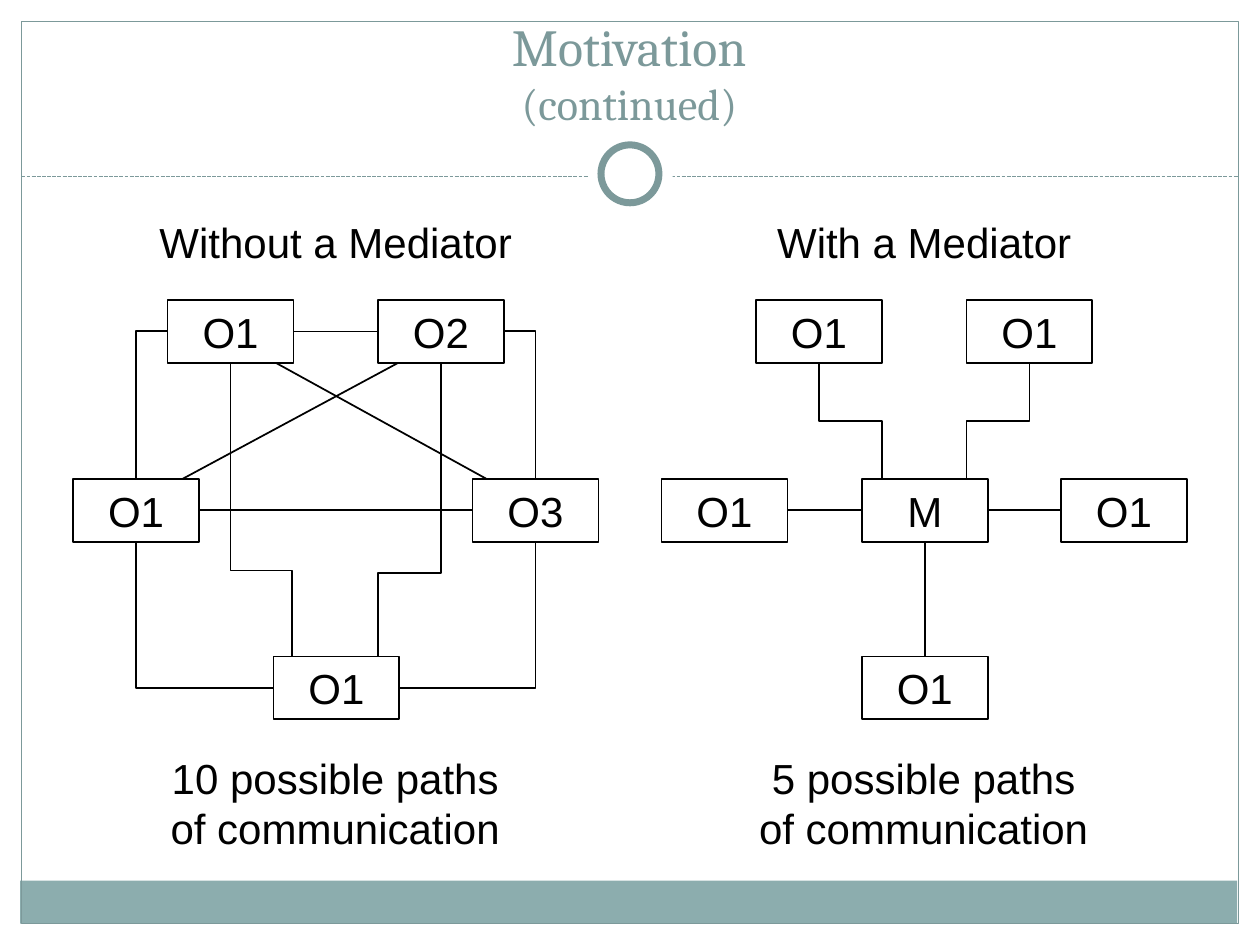
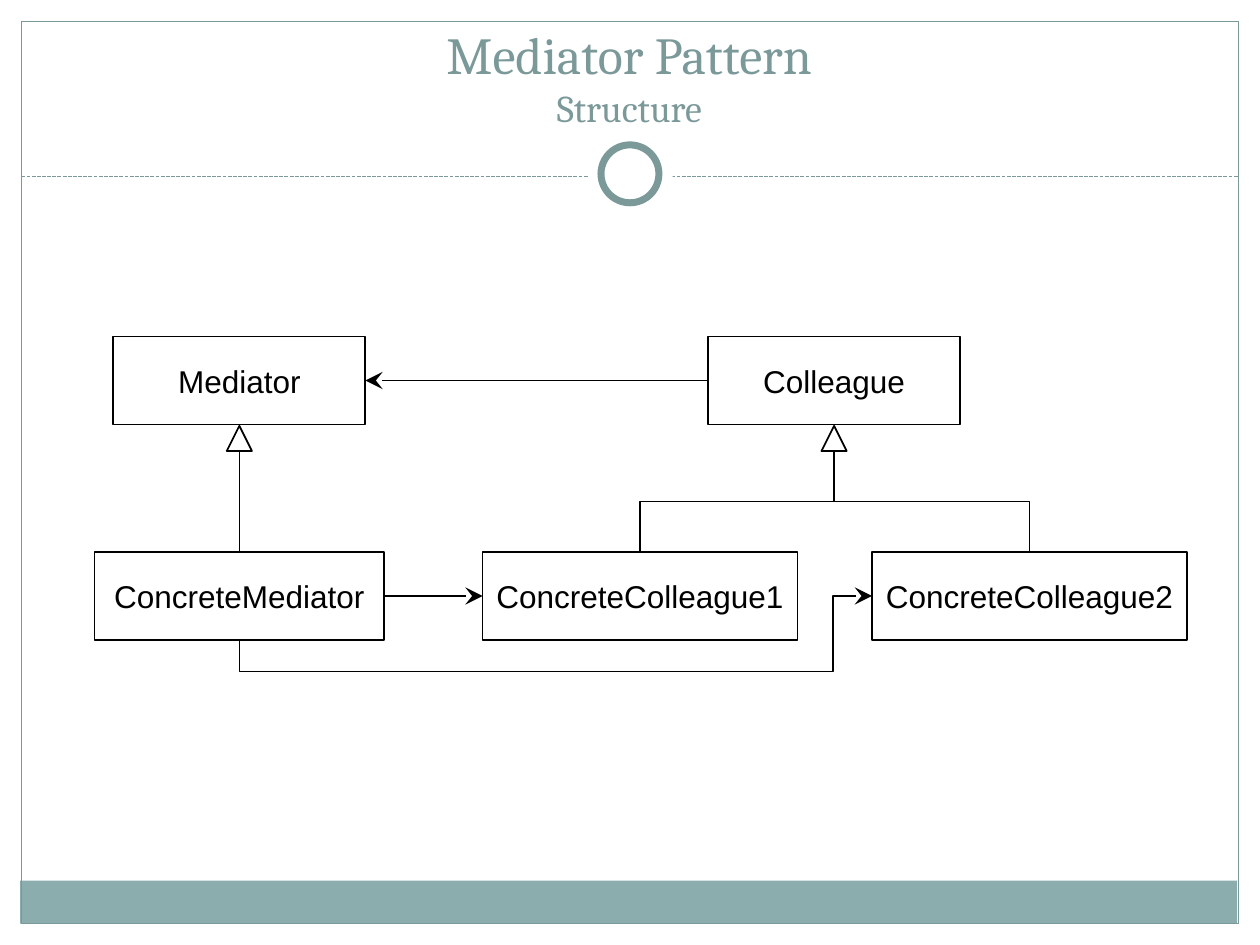
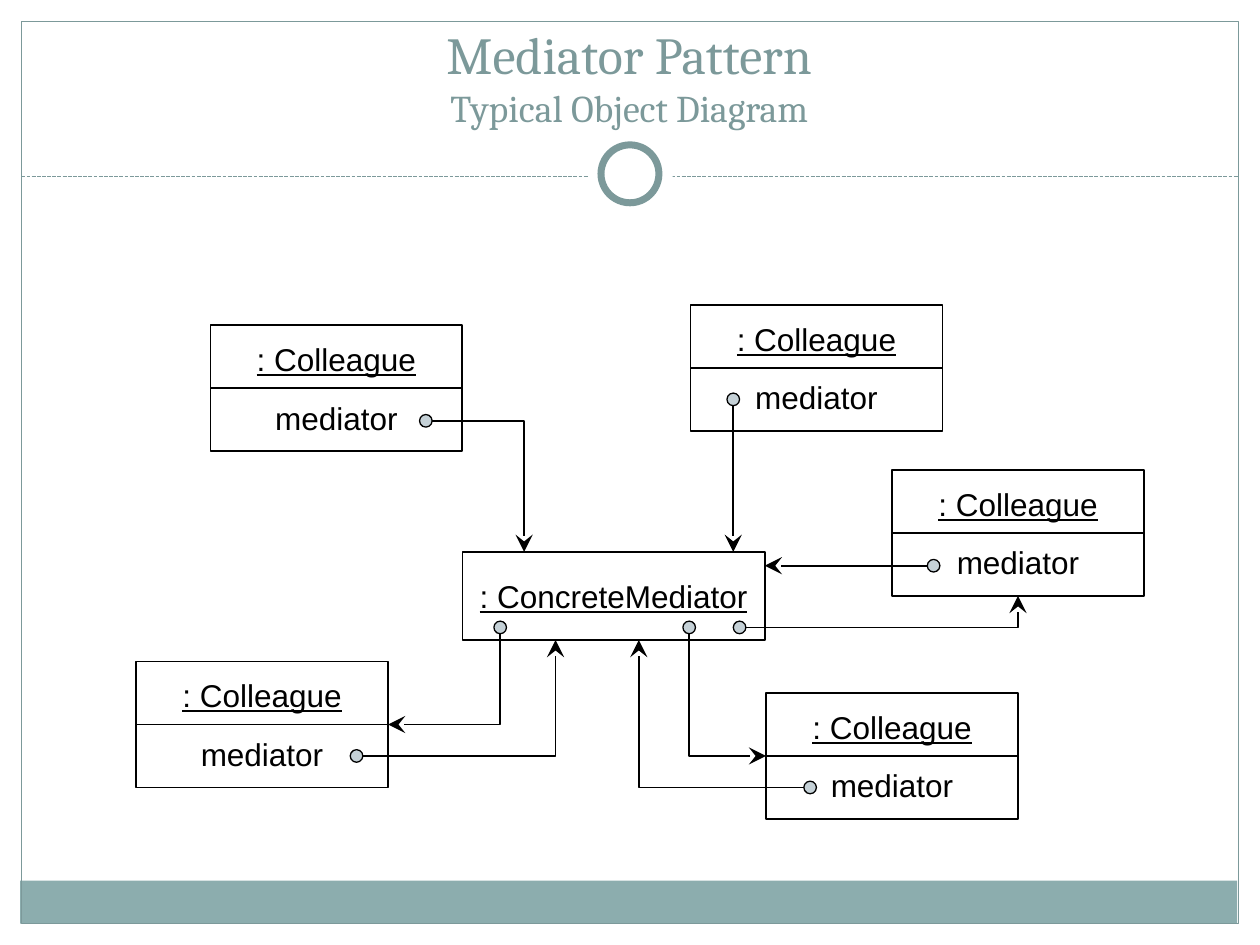
from dataclasses import dataclass

from lxml.etree import SubElement
from pptx import Presentation
from pptx.dml.color import RGBColor
from pptx.enum.dml import MSO_LINE
from pptx.enum.shapes import MSO_CONNECTOR, MSO_SHAPE
from pptx.enum.text import MSO_ANCHOR, MSO_AUTO_SIZE, PP_ALIGN
from pptx.oxml.ns import qn
from pptx.shapes.autoshape import Shape
from pptx.shapes.connector import Connector
from pptx.slide import Slide
from pptx.util import Emu, Pt

PX = 9144  # 100 px to the inch

Point = tuple[int, int]


@dataclass(frozen=True)
class Theme:
    white: RGBColor = RGBColor(0xFF, 0xFF, 0xFF)
    ink: RGBColor = RGBColor(0, 0, 0)
    accent: RGBColor = RGBColor(0x7C, 0x99, 0x9A)
    band: RGBColor = RGBColor(0x8C, 0xAD, 0xAE)
    dot: RGBColor = RGBColor(0xC5, 0xD1, 0xD7)
    title_font: str = "Cambria"
    body_font: str = "Arial"
    title_size: float = 29.7
    continued_size: float = 25.2
    subtitle_size: float = 21.6
    large: int = 24
    small: int = 18
    thin: float = 0.75
    line: float = 1
    ring: float = 4


THEME = Theme()


@dataclass(frozen=True)
class Box:
    left: int
    top: int
    width: int
    height: int
    label: str = ""

    def side_middles(self) -> list[Point]:
        """Middles of the sides in connection-site order."""
        middle_x, middle_y = self.left + self.width // 2, self.top + self.height // 2
        return [
            (middle_x, self.top),
            (self.left, middle_y),
            (middle_x, self.top + self.height),
            (self.left + self.width, middle_y),
        ]


@dataclass(frozen=True)
class Wire:
    """A line through its points; a bent one has corners between its ends."""

    points: tuple[Point, ...]
    arrow: bool = False


@dataclass(frozen=True)
class Network:
    left: int
    heading: str
    nodes: tuple[Box, ...]
    wires: tuple[Wire, ...]
    caption: tuple[str, ...]


Sites = dict[Point, tuple[Shape, int]]


def px(length: float) -> Emu:
    return Emu(round(length * PX))


def add_preset(
    page: Slide,
    preset: MSO_SHAPE,
    box: Box,
    fill: RGBColor | None = None,
    line: RGBColor | None = None,
    weight: float = THEME.line,
) -> Shape:
    shape = page.shapes.add_shape(
        preset, px(box.left), px(box.top), px(box.width), px(box.height)
    )
    shape.shadow.inherit = False
    if fill is None:
        shape.fill.background()
    else:
        shape.fill.solid()
        shape.fill.fore_color.rgb = fill
    if line is None:
        shape.line.fill.background()
    else:
        shape.line.color.rgb = line
        shape.line.width = Pt(weight)
    return shape


def write_lines(shape: Shape, lines: tuple[str, ...], size: int, gap: int = 0) -> None:
    frame = shape.text_frame
    frame.word_wrap = False
    frame.text = "\n".join(lines)
    for para in frame.paragraphs:
        para.alignment = PP_ALIGN.CENTER
        para.font.name = THEME.body_font
        para.font.size = Pt(size)
        para.font.color.rgb = THEME.ink
        if gap:
            para.space_after = Pt(gap)


def add_box(page: Slide, box: Box, size: int, sites: Sites) -> Shape:
    """Draw a labelled box and record where lines can join it."""
    shape = add_preset(page, MSO_SHAPE.RECTANGLE, box, line=THEME.ink)
    shape.text_frame.vertical_anchor = MSO_ANCHOR.MIDDLE
    write_lines(shape, (box.label,), size)
    for index, middle in enumerate(box.side_middles()):
        sites[middle] = (shape, index)
    return shape


def bend(connector: Connector, points: tuple[Point, ...]) -> None:
    """Turn an elbow connector so that it passes through the given corners."""
    start, *corners, end = points
    delta = (end[0] - start[0], end[1] - start[1])
    upright = corners[0][0] == start[0]
    first, second = (1, 0) if upright else (0, 1)
    length, breadth = abs(delta[first]), abs(delta[second])
    connector.left = px((start[0] + end[0] - length) / 2)
    connector.top = px((start[1] + end[1] - breadth) / 2)
    connector.width, connector.height = px(length), px(breadth)

    properties = connector._element.spPr
    frame = properties.find(qn("a:xfrm"))
    frame.set("rot", str(90 * 60000 if upright else 0))
    frame.set("flipH", str(int(delta[first] < 0)))
    frame.set("flipV", str(int((delta[second] < 0) != upright)))

    geometry = properties.find(qn("a:prstGeom"))
    geometry.set("prst", f"bentConnector{len(corners) + 1}")
    guides = geometry.find(qn("a:avLst"))
    for number, axis in enumerate((first, second)[: len(corners) - 1]):
        share = (corners[number][axis] - start[axis]) / delta[axis]
        name, formula = f"adj{number + 1}", f"val {round(share * 100000)}"
        SubElement(guides, qn("a:gd"), name=name, fmla=formula)


def add_wire(
    page: Slide,
    wire: Wire,
    sites: Sites,
    color: RGBColor = THEME.ink,
    weight: float = THEME.line,
) -> Connector:
    start, end = wire.points[0], wire.points[-1]
    straight = len(wire.points) == 2
    kind = MSO_CONNECTOR.STRAIGHT if straight else MSO_CONNECTOR.ELBOW
    connector = page.shapes.add_connector(kind, *map(px, start + end))
    if not straight:
        bend(connector, wire.points)
    else:
        if start in sites:
            connector.begin_connect(*sites[start])
        if end in sites:
            connector.end_connect(*sites[end])
    connector.line.color.rgb = color
    connector.line.width = Pt(weight)
    properties = connector._element.spPr
    if wire.arrow:
        outline = properties.find(qn("a:ln"))
        SubElement(outline, qn("a:tailEnd"), type="stealth", w="lg", len="lg")
    SubElement(properties, qn("a:effectLst"))
    return connector


def add_text(page: Slide, box: Box, lines: tuple[str, ...]) -> None:
    shape = page.shapes.add_textbox(
        px(box.left), px(box.top), px(box.width), px(box.height)
    )
    write_lines(shape, lines, THEME.large)
    shape.text_frame.auto_size = MSO_AUTO_SIZE.SHAPE_TO_FIT_TEXT


def add_page(deck: Presentation, title: str, subtitle: str, subtitle_size: float) -> Slide:
    """Add a slide with the shared frame, band, ring and title."""
    page = deck.slides.add_slide(deck.slide_layouts[6])
    add_preset(page, MSO_SHAPE.RECTANGLE, Box(16, 699, 966, 34), fill=THEME.band)
    frame = Box(17, 17, 966, 716)
    add_preset(page, MSO_SHAPE.RECTANGLE, frame, line=THEME.accent, weight=THEME.thin)
    rule = add_wire(page, Wire(((17, 140), (983, 140))), {}, THEME.accent, THEME.thin)
    rule.line.dash_style = MSO_LINE.SQUARE_DOT
    add_preset(page, MSO_SHAPE.OVAL, Box(467, 105, 67, 67), fill=THEME.white)
    ring = Box(477, 115, 46, 46)
    add_preset(page, MSO_SHAPE.OVAL, ring, THEME.white, THEME.accent, THEME.ring)

    heading = page.shapes.add_textbox(px(33), px(25), px(933), px(83)).text_frame
    heading.word_wrap = True
    heading.vertical_anchor = MSO_ANCHOR.BOTTOM
    para = heading.paragraphs[0]
    para.alignment = PP_ALIGN.CENTER
    para.font.name = THEME.title_font
    para.font.color.rgb = THEME.accent
    for text, size in ((title, THEME.title_size), (subtitle, subtitle_size)):
        if para.runs:
            para.add_line_break()
        span = para.add_run()
        span.text = text
        span.font.size = Pt(size)
    return page


def node(left: int, top: int, label: str = "O1") -> Box:
    return Box(left, top, 100, 50, label)


def add_network(page: Slide, network: Network) -> None:
    shift, sites = network.left, {}
    add_text(page, Box(shift + 115, 167, 303, 50), (network.heading,))
    for item in network.nodes:
        moved = Box(item.left + shift, item.top, item.width, item.height, item.label)
        add_box(page, moved, THEME.large, sites)
    for wire in network.wires:
        points = tuple((x + shift, y) for x, y in wire.points)
        add_wire(page, Wire(points), sites)
    add_text(page, Box(shift + 125, 592, 282, 91), network.caption)


def add_motivation(deck: Presentation) -> None:
    page = add_page(deck, "Motivation", "(continued)", THEME.continued_size)
    without_mediator = Network(
        left=0,
        heading="Without a Mediator",
        nodes=(
            node(133, 238),
            node(300, 238, "O2"),
            node(58, 380),
            node(217, 521),
            node(375, 380, "O3"),
        ),
        wires=(
            Wire(((133, 263), (108, 263), (108, 380))),
            Wire(((108, 430), (108, 546), (217, 546))),
            Wire(((400, 263), (425, 263), (425, 380))),
            Wire(((425, 430), (425, 546), (317, 546))),
            Wire(((233, 263), (300, 263))),
            Wire(((183, 288), (183, 453), (232, 453), (232, 521))),
            Wire(((350, 288), (350, 455), (300, 455), (300, 521))),
            Wire(((158, 405), (375, 405))),
            Wire(((316, 288), (145, 380))),
            Wire(((219, 288), (386, 380))),
        ),
        caption=("10 possible paths", "of communication"),
    )
    with_mediator = Network(
        left=467,
        heading="With a Mediator",
        nodes=(
            node(133, 238),
            node(300, 238),
            node(58, 380),
            node(217, 521),
            node(375, 380),
            node(217, 380, "M"),
        ),
        wires=(
            Wire(((183, 288), (183, 334), (233, 334), (233, 380))),
            Wire(((350, 288), (350, 334), (300, 334), (300, 380))),
            Wire(((267, 521), (267, 430))),
            Wire(((158, 405), (217, 405))),
            Wire(((317, 405), (375, 405))),
        ),
        caption=("5 possible paths", "of communication"),
    )
    for network in (without_mediator, with_mediator):
        add_network(page, network)


def add_structure(deck: Presentation) -> None:
    page = add_page(deck, "Mediator Pattern", "Structure", THEME.subtitle_size)
    classes = (
        Box(90, 267, 200, 70, "Mediator"),
        Box(562, 267, 200, 70, "Colleague"),
        Box(75, 438, 230, 70, "ConcreteMediator"),
        Box(383, 438, 250, 70, "ConcreteColleague1"),
        Box(692, 438, 250, 70, "ConcreteColleague2"),
    )
    sites: Sites = {}
    for box in classes:
        add_box(page, box, THEME.small, sites)
    for left in (180, 652):
        triangle = Box(left, 338, 20, 20)
        add_preset(page, MSO_SHAPE.ISOSCELES_TRIANGLE, triangle, line=THEME.ink)
    wires = (
        Wire(((190, 358), (190, 438))),
        Wire(((662, 358), (662, 398), (508, 398), (508, 438))),
        Wire(((662, 358), (662, 398), (817, 398), (817, 438))),
        Wire(((562, 302), (290, 302)), arrow=True),
        Wire(((305, 473), (383, 473)), arrow=True),
        Wire(((190, 508), (190, 533), (661, 533), (661, 473), (692, 473)), arrow=True),
    )
    for wire in wires:
        add_wire(page, wire, sites)


def add_colleague(page: Slide, left: int, top: int, sites: Sites) -> None:
    box = Box(left, top, 200, 100)
    shape = add_box(page, box, THEME.small, sites)
    write_lines(shape, (": Colleague", "mediator"), THEME.small, gap=12)
    shape.text_frame.paragraphs[0].font.underline = True
    _, left_middle, _, right_middle = box.side_middles()
    add_wire(page, Wire((left_middle, right_middle)), sites)


def add_object_diagram(deck: Presentation) -> None:
    page = add_page(
        deck, "Mediator Pattern", "Typical Object Diagram", THEME.subtitle_size
    )
    sites: Sites = {}
    hub = Box(367, 438, 240, 70, ": ConcreteMediator")
    hub_shape = add_box(page, hub, THEME.small, sites)
    hub_shape.text_frame.paragraphs[0].font.underline = True
    for left, top in ((548, 242), (708, 373), (608, 550), (108, 525), (167, 258)):
        add_colleague(page, left, top, sites)

    routes = (
        ((582, 322), (582, 438)),
        ((397, 503), (397, 575), (308, 575)),
        ((288, 600), (441, 600), (441, 508)),
        ((638, 625), (507, 625), (507, 508)),
        ((547, 503), (547, 600), (608, 600)),
        ((736, 449), (607, 449)),
        ((592, 498), (808, 498), (808, 473)),
        ((343, 334), (416, 334), (416, 438)),
    )
    for points in routes:
        add_wire(page, Wire(points, arrow=True), sites)

    dot_centres = (
        (582, 317), (741, 449), (643, 625), (283, 600),
        (338, 334), (397, 498), (547, 498), (587, 498),
    )
    for x, y in dot_centres:
        dot = Box(x - 5, y - 5, 10, 10)
        add_preset(page, MSO_SHAPE.OVAL, dot, THEME.dot, THEME.ink, THEME.thin)


def main() -> None:
    deck = Presentation()
    deck.slide_width, deck.slide_height = px(1000), px(750)
    add_motivation(deck)
    add_structure(deck)
    add_object_diagram(deck)
    deck.save("out.pptx")


if __name__ == "__main__":
    main()
